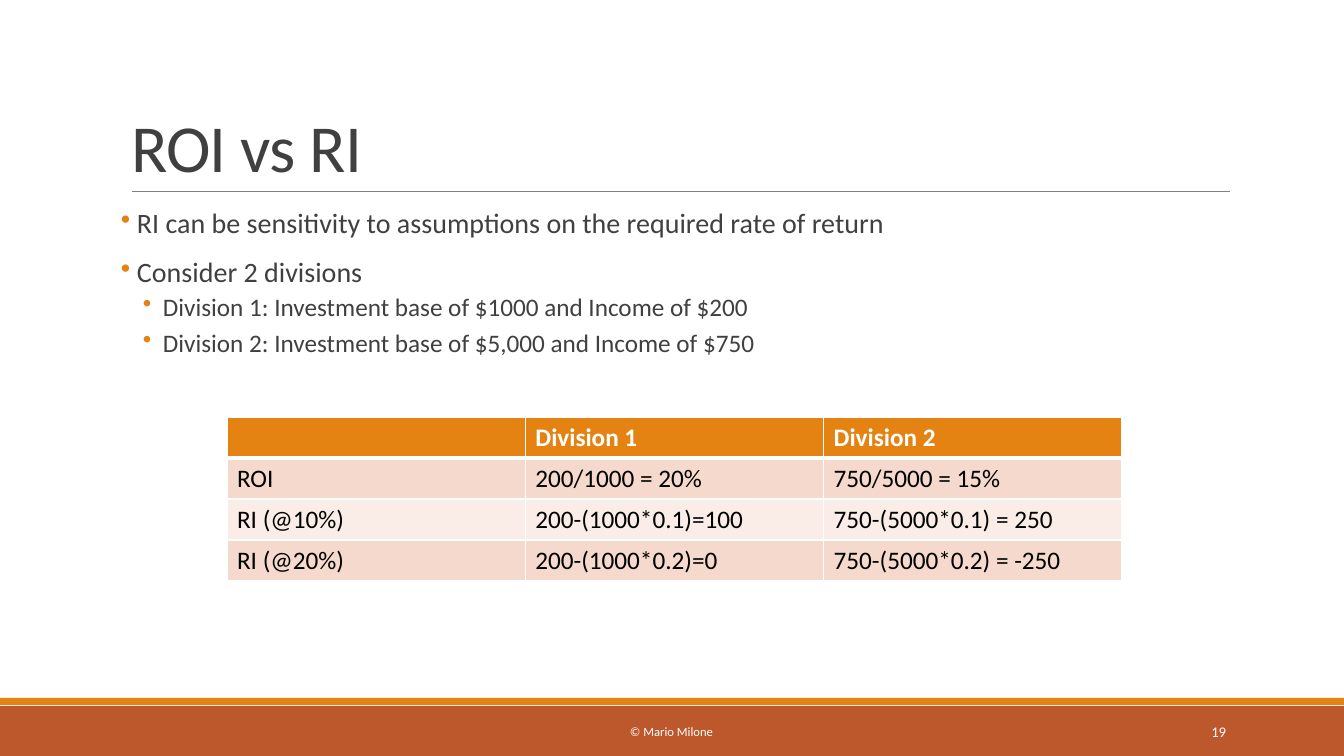
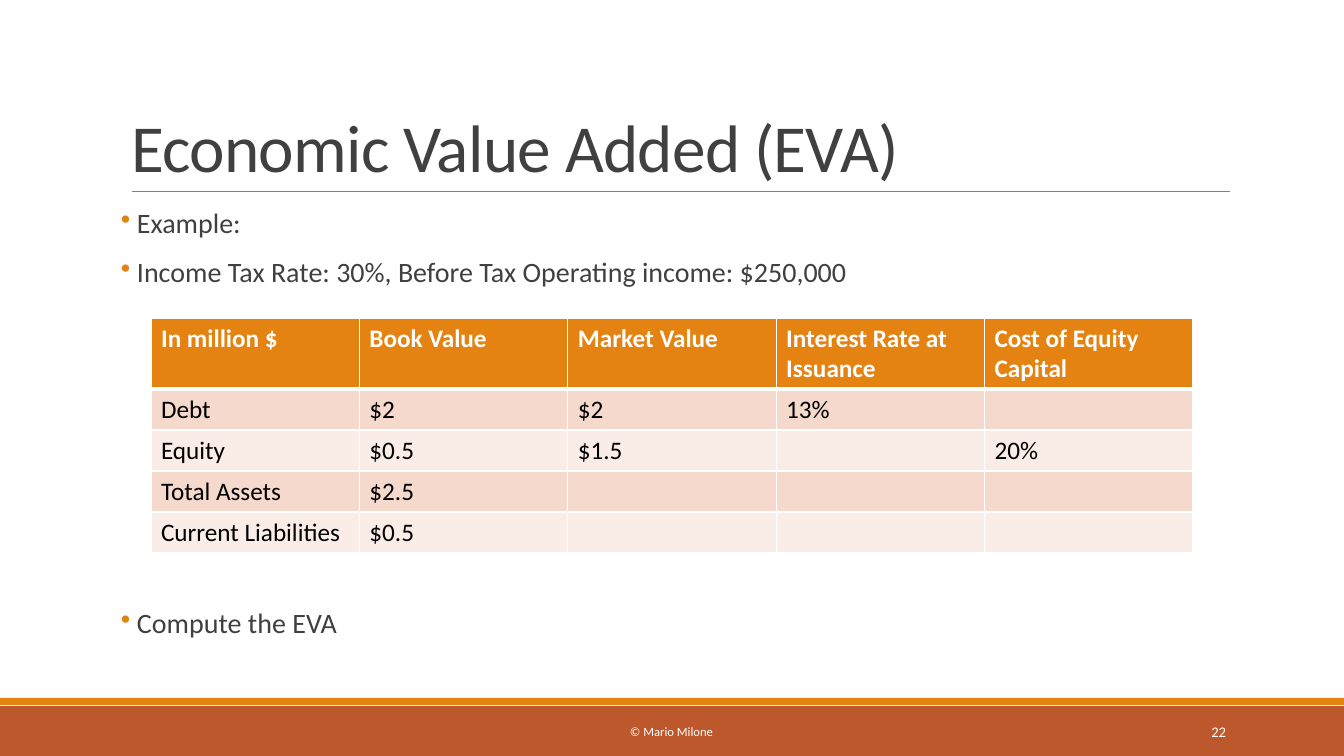
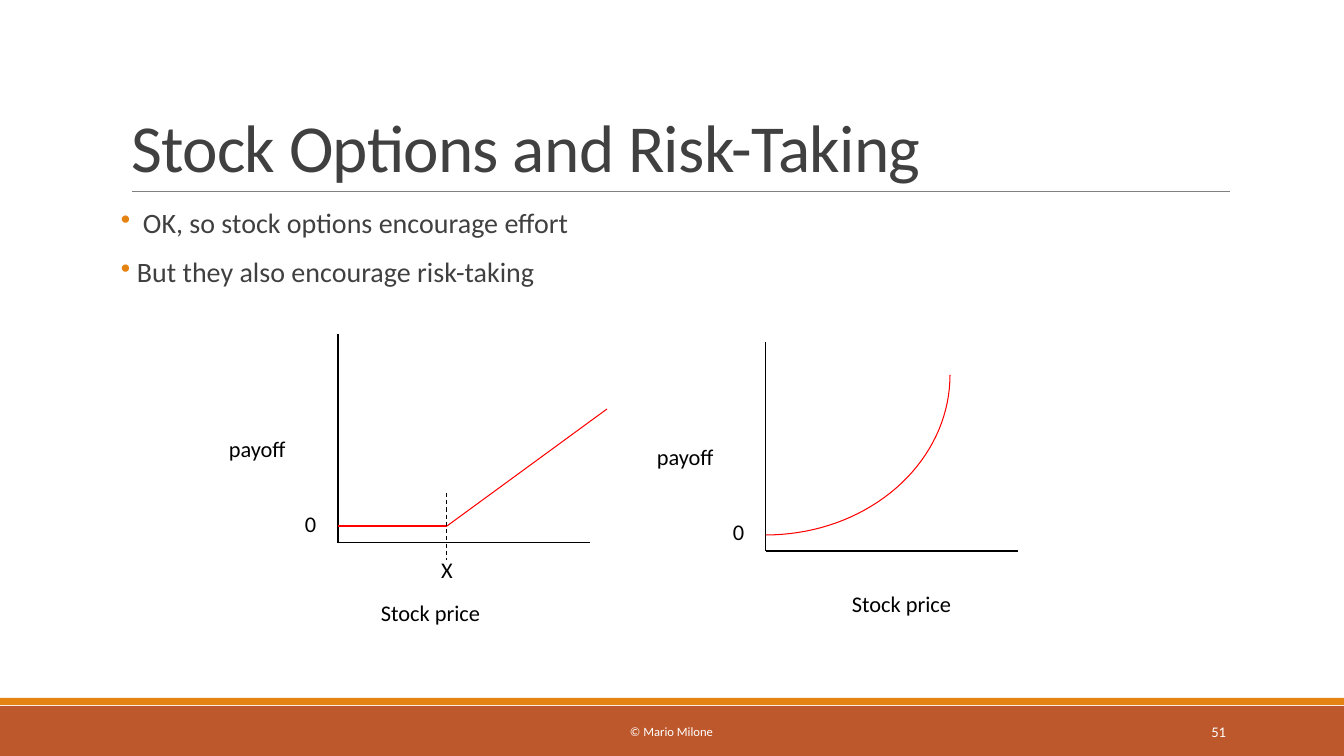
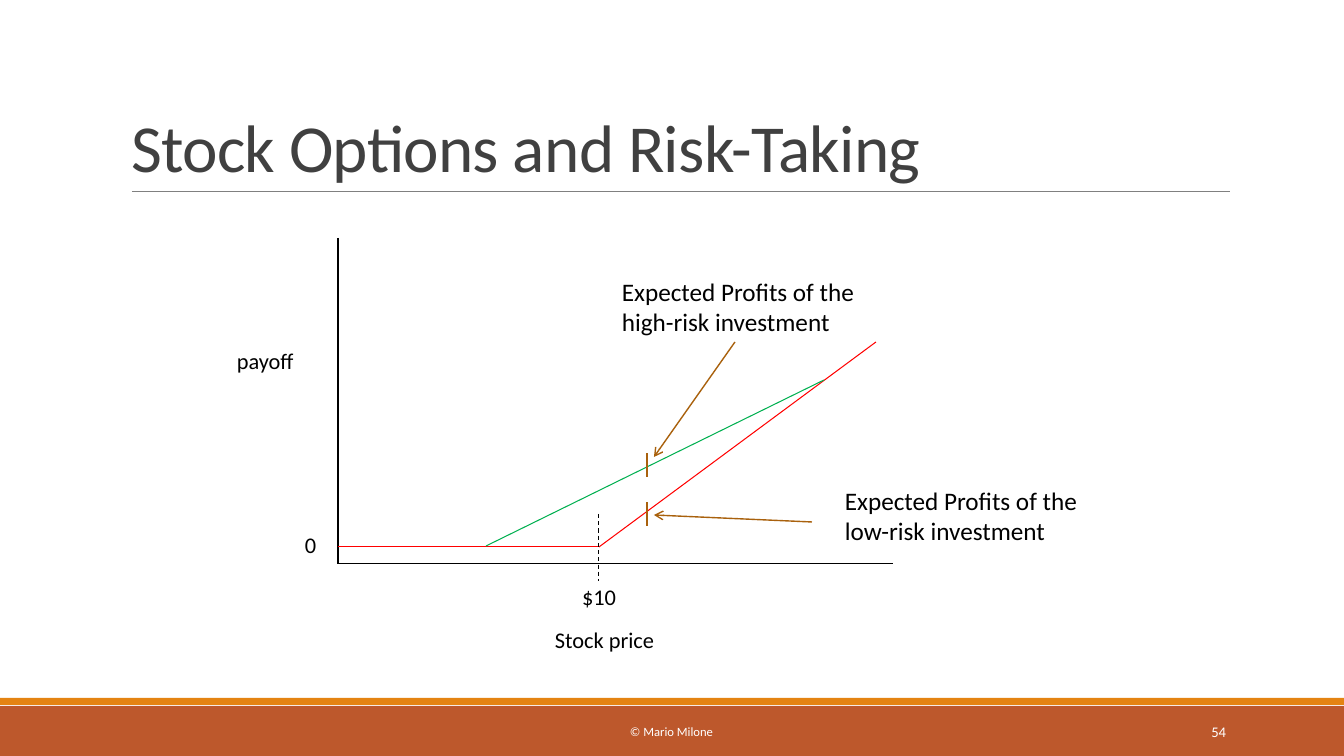
"""Build four slides on investment returns and stock options."""
import math

import lxml.etree
import pptx
import pptx.dml.color
import pptx.enum.dml
import pptx.enum.shapes
import pptx.enum.text
import pptx.oxml.ns
import pptx.util

RGB = pptx.dml.color.RGBColor
ALIGN = pptx.enum.text.PP_ALIGN
ANCHOR = pptx.enum.text.MSO_ANCHOR
SHAPE = pptx.enum.shapes.MSO_SHAPE
DASH = pptx.enum.dml.MSO_LINE.DASH
Pt = pptx.util.Pt

RUST = RGB(0xBD, 0x58, 0x2C)
ORANGE = RGB(0xE4, 0x83, 0x12)
BROWN = RGB(0xA9, 0x61, 0x0D)
ROSE = RGB(0xF5, 0xD9, 0xCC)
PALE = RGB(0xFA, 0xED, 0xE7)
GREY = RGB(0x80, 0x80, 0x80)
DARK = RGB(0x40, 0x40, 0x40)
BLACK = RGB(0, 0, 0)
WHITE = RGB(0xFF, 0xFF, 0xFF)
RED = RGB(0xFF, 0, 0)
GREEN = RGB(0, 0xB0, 0x50)

FONT = "Calibri"
WIDE, HIGH = 1344, 756
SCALE = 12192000 / WIDE
BODY = (121, 204, 1109, 444)


def px(num):
    """Turn px into EMU."""
    return round(num * SCALE)


def node(top, tag, **attrs):
    """Append a drawing element to a parent."""
    return lxml.etree.SubElement(top, pptx.oxml.ns.qn("a:" + tag), attrs)


def write(para, words, size, color, bold=False):
    """Add one styled run to a paragraph."""
    run = para.add_run()
    run.text = words
    font = run.font
    font.name, font.size, font.bold = FONT, Pt(size), bold
    font.color.rgb = color
    return run


def text(slide, box, words, size=16, color=BLACK, align=ALIGN.LEFT, anchor=ANCHOR.TOP):
    """Place a wrapped text box with one paragraph."""
    frame = slide.shapes.add_textbox(*map(px, box)).text_frame
    frame.word_wrap = True
    frame.vertical_anchor = anchor
    para = frame.paragraphs[0]
    para.alignment = align
    write(para, words, size, color)


def line(slide, start, end, color=BLACK, width=0.75, dash=False, arrow=False):
    """Draw a straight line between two points."""
    link = slide.shapes.add_connector(
        pptx.enum.shapes.MSO_CONNECTOR.STRAIGHT, *map(px, (*start, *end)))
    link.line.color.rgb = color
    link.line.width = Pt(width)
    if dash:
        link.line.dash_style = DASH
    if arrow:
        node(link.line._get_or_add_ln(), "tailEnd", type="arrow")
    node(link._element.spPr, "effectLst")


def band(slide, box, color):
    """Draw a plain filled strip."""
    strip = slide.shapes.add_shape(SHAPE.RECTANGLE, *map(px, box))
    strip.shadow.inherit = False
    strip.fill.solid()
    strip.fill.fore_color.rgb = color
    strip.line.fill.background()


def start(deck, title, page):
    """Add a slide with its title, rule, bands and footer."""
    slide = deck.slides.add_slide(deck.slide_layouts[5])
    band(slide, (0, 706, WIDE, 50), RUST)
    band(slide, (0, 698, WIDE, 7), ORANGE)
    line(slide, (132, 191), (1230, 191), GREY, 0.5)
    head = slide.shapes.title
    head.left, head.top, head.width, head.height = map(px, (121, 31, 1109, 160))
    frame = head.text_frame
    frame.auto_size = pptx.enum.text.MSO_AUTO_SIZE.NONE
    frame.vertical_anchor = ANCHOR.BOTTOM
    para = frame.paragraphs[0]
    para.alignment, para.line_spacing = ALIGN.LEFT, 0.85
    write(para, title, 48, DARK).font._element.set("spc", "-50")
    text(slide, (406, 712, 531, 40), "© Mario Milone", 9, WHITE, ALIGN.CENTER, ANCHOR.MIDDLE)
    text(slide, (1092, 712, 144, 40), str(page), 10.5, WHITE, ALIGN.RIGHT, ANCHOR.MIDDLE)
    return slide


def points(slide, box, items):
    """Place bullets given as words, level and text indent."""
    frame = slide.shapes.add_textbox(*map(px, box)).text_frame
    frame.word_wrap = True
    frame.margin_left = frame.margin_right = 0
    for pos, (words, level, left) in enumerate(items):
        para = frame.add_paragraph() if pos else frame.paragraphs[0]
        para.level, para.line_spacing = level, 0.9
        para.space_before, para.space_after = (Pt(2), Pt(4)) if level else (Pt(12), Pt(2))
        props = para._p.get_or_add_pPr()
        props.set("marL", str(px(left)))
        props.set("indent", str(-px(20 if level else left)))
        node(node(props, "buClr"), "srgbClr", val=str(ORANGE))
        node(props, "buChar", char="•")
        write(para, words, 18 if level else 20, DARK)


def edges(cell, row):
    """Give a cell white borders, thick under the header."""
    props = cell._tc.get_or_add_tcPr()
    thick = {"lnB": row == 0, "lnT": row == 1}
    for side in ("lnL", "lnR", "lnT", "lnB"):
        edge = node(props, side, w=str(Pt(3 if thick.get(side) else 1)))
        node(node(edge, "solidFill"), "srgbClr", val=str(WHITE))


def table(slide, box, rows, head=41):
    """Place a banded table with a header of the given height."""
    left, top, width = box
    cols = len(rows[0])
    high = head + 41 * (len(rows) - 1)
    grid = slide.shapes.add_table(len(rows), cols, *map(px, (left, top, width, high))).table
    for col in grid.columns:
        col.width = px(width / cols)
    for row, words in enumerate(rows):
        grid.rows[row].height = px(head if row == 0 else 41)
        for col, word in enumerate(words):
            cell = grid.cell(row, col)
            edges(cell, row)
            cell.fill.solid()
            cell.fill.fore_color.rgb = ORANGE if row == 0 else ROSE if row % 2 else PALE
            if word:
                write(cell.text_frame.paragraphs[0], word, 18,
                      BLACK if row else WHITE, row == 0)


def axes(slide, box, pay, price):
    """Draw two axes and labels, offset from the top left and foot."""
    left, top, width, high = box
    foot = top + high
    line(slide, (left, top), (left, foot))
    line(slide, (left, foot), (left + width, foot))
    text(slide, (left + pay[0], top + pay[1], 90, 37), "payoff")
    text(slide, (left + price[0], foot + price[1], 161, 37), "Stock price")
    text(slide, (left - 43, foot - 38, 31, 37), "0")


def kink(slide, box, strike, end, label, drop):
    """Draw an option payoff that rises after the strike."""
    left, top, _, high = box
    foot = top + high
    turn = (left + strike, foot - 17)
    line(slide, (left, turn[1]), turn, RED)
    line(slide, turn, (left + end[0], top + end[1]), RED)
    line(slide, (turn[0], foot - 50), (turn[0], foot + 17), dash=True)
    text(slide, (turn[0] - 28, foot + drop, 56, 37), label, align=ALIGN.CENTER)


def curve(slide, box):
    """Draw a quarter ellipse rising from bottom left to top right."""
    left, top, width, high = box
    steps = 36
    turns = [math.pi / 2 * num / steps for num in range(steps + 1)]
    spots = [(px(left + width * math.sin(turn)), px(top + high * math.cos(turn)))
             for turn in turns]
    pen = slide.shapes.build_freeform(*spots[0])
    pen.add_line_segments(spots[1:], close=False)
    arc = pen.convert_to_shape()
    arc.shadow.inherit = False
    arc.fill.background()
    arc.line.color.rgb = RED
    arc.line.width = Pt(0.75)


def callout(slide, box, words, tail, tip, tick):
    """Label a tick on a payoff line with an arrow."""
    left, top = box
    text(slide, (left, top, 264, 71), words, 18)
    line(slide, (left + tail[0], top + tail[1]), tip, BROWN, 1, arrow=True)
    line(slide, (tick[0], tick[1] + 12), (tick[0], tick[1] - 12), BROWN, 1)


def returns(deck):
    """Build the slide comparing two divisions."""
    slide = start(deck, "ROI vs RI", 19)
    points(slide, BODY, [
        ("RI can be sensitivity to assumptions on the required rate of return", 0, 16),
        ("Consider 2 divisions", 0, 16),
        ("Division 1: Investment base of $1000 and Income of $200", 1, 42),
        ("Division 2: Investment base of $5,000 and Income of $750", 1, 42)])
    table(slide, (227, 417, 895), [
        ("", "Division 1", "Division 2"),
        ("ROI", "200/1000 = 20%", "750/5000 = 15%"),
        ("RI (@10%)", "200-(1000*0.1)=100", "750-(5000*0.1) = 250"),
        ("RI (@20%)", "200-(1000*0.2)=0", "750-(5000*0.2) = -250")])


def added(deck):
    """Build the slide with the value added example."""
    slide = start(deck, "Economic Value Added (EVA)", 22)
    points(slide, (121, 204, 1109, 100), [
        ("Example:", 0, 16),
        ("Income Tax Rate: 30%, Before Tax Operating income: $250,000", 0, 16)])
    table(slide, (151, 318, 1042), [
        ("In million $", "Book Value", "Market Value",
         "Interest Rate at Issuance", "Cost of Equity Capital"),
        ("Debt", "$2", "$2", "13%", ""),
        ("Equity", "$0.5", "$1.5", "", "20%"),
        ("Total Assets", "$2.5", "", "", ""),
        ("Current Liabilities", "$0.5", "", "", "")], 71)
    points(slide, (121, 604, 1109, 44), [("Compute the EVA", 0, 16)])


def options(deck):
    """Build the slide with a kinked and a curved payoff."""
    slide = start(deck, "Stock Options and Risk-Taking", 51)
    points(slide, BODY, [
        ("OK, so stock options encourage effort", 0, 22),
        ("But they also encourage risk-taking", 0, 16)])
    box = (338, 334, 252, 209)
    axes(slide, box, (-119, 96), (33, 51))
    kink(slide, box, 109, (269, 75), "X", 8)
    axes(slide, (766, 342, 252, 209), (-119, 96), (76, 34))
    curve(slide, (766, 375, 184, 160))


def risk(deck):
    """Build the slide comparing high and low risk profits."""
    slide = start(deck, "Stock Options and Risk-Taking", 54)
    box = (338, 238, 555, 326)
    axes(slide, box, (-111, 104), (207, 57))
    kink(slide, box, 261, (538, 104), "$10", 14)
    line(slide, (486, 546), (824, 380), GREEN)
    callout(slide, (612, 271), "Expected Profits of the high-risk investment",
            (123, 71), (654, 457), (647, 465))
    callout(slide, (835, 480), "Expected Profits of the low-risk investment",
            (-23, 42), (654, 515), (647, 514))


def main():
    """Build the deck and save it."""
    deck = pptx.Presentation()
    deck.slide_width, deck.slide_height = px(WIDE), px(HIGH)
    for build in (returns, added, options, risk):
        build(deck)
    deck.save("out.pptx")


if __name__ == "__main__":
    main()
